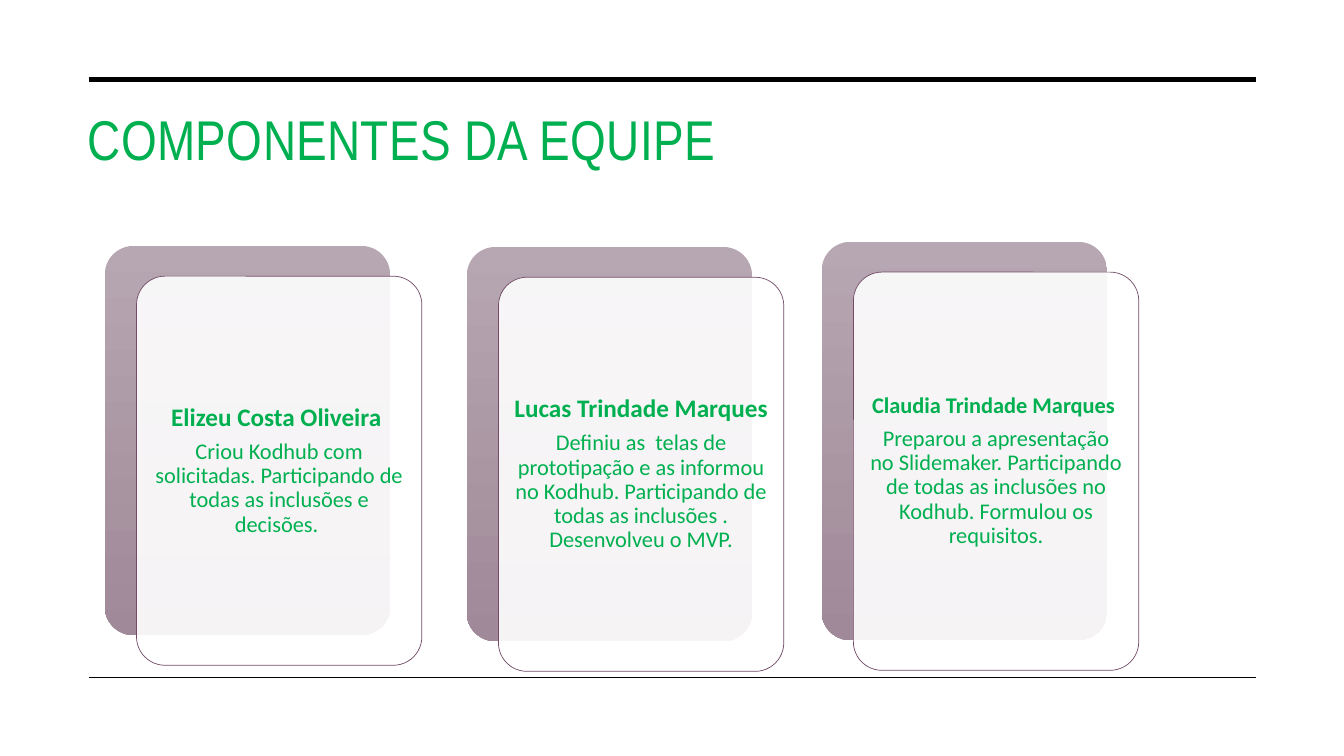
from lxml import etree
from pptx import Presentation
from pptx.dml.color import RGBColor
from pptx.enum.shapes import MSO_CONNECTOR as Connector, MSO_SHAPE as Shape
from pptx.enum.text import MSO_ANCHOR as Anchor, PP_ALIGN as Align
from pptx.oxml.ns import qn
from pptx.util import Inches, Pt

GREEN = RGBColor(0x00, 0xB0, 0x50)
BLACK = RGBColor(0x00, 0x00, 0x00)
WHITE = RGBColor(0xFF, 0xFF, 0xFF)
PLUM = RGBColor(0x73, 0x4B, 0x67)
MAUVE_LIGHT = RGBColor(0xB7, 0xA7, 0xB2)
MAUVE_DARK = RGBColor(0xA0, 0x89, 0x98)

CARD_WIDTH = 21.23
SHIFT_X, SHIFT_Y = 2.36, 4
PAD_X, PAD_Y = 0.62, 1.1

# left, top, height, name, name size, contribution
MEMBERS = [
    (7.8, 32.53, 51.47, "Elizeu Costa Oliveira ", 18,
     " Criou Kodhub com  solicitadas. Participando de todas as inclusões e decisões. "),
    (34.73, 32.67, 52.13, "Lucas Trindade Marques ", 18,
     "Definiu as  telas de prototipação e as informou no Kodhub. "
     "Participando de todas as inclusões . Desenvolveu o MVP."),
    (61.14, 32, 52.67, "Claudia Trindade Marques ", 16,
     "Preparou a apresentação no Slidemaker. Participando de todas as inclusões "
     "no Kodhub. Formulou os requisitos."),
]


class TeamSlide:
    """Draws on one slide; every length is a percentage of the slide's size."""

    title_font = "Arial Narrow"
    body_font = "Calibri"

    def __init__(self, deck):
        self.width, self.height = deck.slide_width, deck.slide_height
        self.slide = deck.slides.add_slide(deck.slide_layouts[5])

    def area(self, left, top, width, height):
        return (round(self.width * left / 100), round(self.height * top / 100),
                round(self.width * width / 100), round(self.height * height / 100))

    def style(self, para, font_name, size, bold=False):
        font = para.font
        font.name, font.size, font.bold = font_name, Pt(size), bold
        font.color.rgb = GREEN

    def title(self, text, *place):
        box = self.slide.shapes.title
        box.left, box.top, box.width, box.height = self.area(*place)
        box.text_frame.vertical_anchor = Anchor.TOP
        para = box.text_frame.paragraphs[0]
        para.alignment = Align.LEFT
        span = para.add_run()
        span.text = text
        span._r.get_or_add_rPr().set("spc", "30")
        self.style(para, self.title_font, 40)

    def rule(self, left, right, top, weight):
        x1, y, x2, _ = self.area(left, top, right, 0)
        line = self.slide.shapes.add_connector(Connector.STRAIGHT, x1, y, x2, y)
        line.line.color.rgb = BLACK
        line.line.width = Pt(weight)
        etree.SubElement(line._element.spPr, qn("a:effectLst"))

    def panel(self, group, *place):
        panel = group.shapes.add_shape(Shape.ROUNDED_RECTANGLE, *self.area(*place))
        panel.adjustments[0] = 0.1
        panel.shadow.inherit = False
        return panel

    def back_panel(self, group, *place):
        panel = self.panel(group, *place)
        panel.fill.gradient()
        panel.fill.gradient_angle = 270
        for stop, color in zip(panel.fill.gradient_stops, (MAUVE_LIGHT, MAUVE_DARK)):
            stop.color.rgb = color
        panel.line.fill.background()

    def front_panel(self, group, *place):
        panel = self.panel(group, *place)
        panel.fill.solid()
        panel.fill.fore_color.rgb = WHITE
        color = panel._element.spPr.find(qn("a:solidFill"))[0]
        etree.SubElement(color, qn("a:alpha"), val="90000")
        panel.line.color.rgb = PLUM
        panel.line.width = Pt(0.5)

    def member_text(self, group, name, name_size, contribution, *place):
        frame = group.shapes.add_textbox(*self.area(*place)).text_frame
        frame.word_wrap = True
        frame.vertical_anchor = Anchor.MIDDLE
        frame.margin_left = frame.margin_right = Inches(0.07)
        frame.margin_top = frame.margin_bottom = Inches(0.07)
        lines = ((name, name_size, True), (contribution, 16, False))
        for index, (text, size, bold) in enumerate(lines):
            para = frame.add_paragraph() if index else frame.paragraphs[0]
            para.text = text
            para.alignment = Align.CENTER
            para.line_spacing = 0.9
            para.space_after = Pt(6)
            self.style(para, self.body_font, size, bold)

    def card(self, left, top, height, name, name_size, contribution):
        group = self.slide.shapes.add_group_shape()
        front_left, front_top = left + SHIFT_X, top + SHIFT_Y
        self.back_panel(group, left, top, CARD_WIDTH, height)
        self.front_panel(group, front_left, front_top, CARD_WIDTH, height)
        self.member_text(group, name, name_size, contribution,
                         front_left + PAD_X, front_top + PAD_Y,
                         CARD_WIDTH - 2 * PAD_X, height - 2 * PAD_Y)


def main():
    deck = Presentation()
    deck.slide_width, deck.slide_height = Inches(13.33), Inches(7.5)
    page = TeamSlide(deck)
    page.title("COMPONENTES DA EQUIPE", 5.78, 13.2, 87.7, 16.8)
    for top, weight in ((10.53, 3.5), (89.6, 1)):
        page.rule(6.6, 93.47, top, weight)
    for member in MEMBERS:
        page.card(*member)
    deck.save("out.pptx")


if __name__ == "__main__":
    main()
